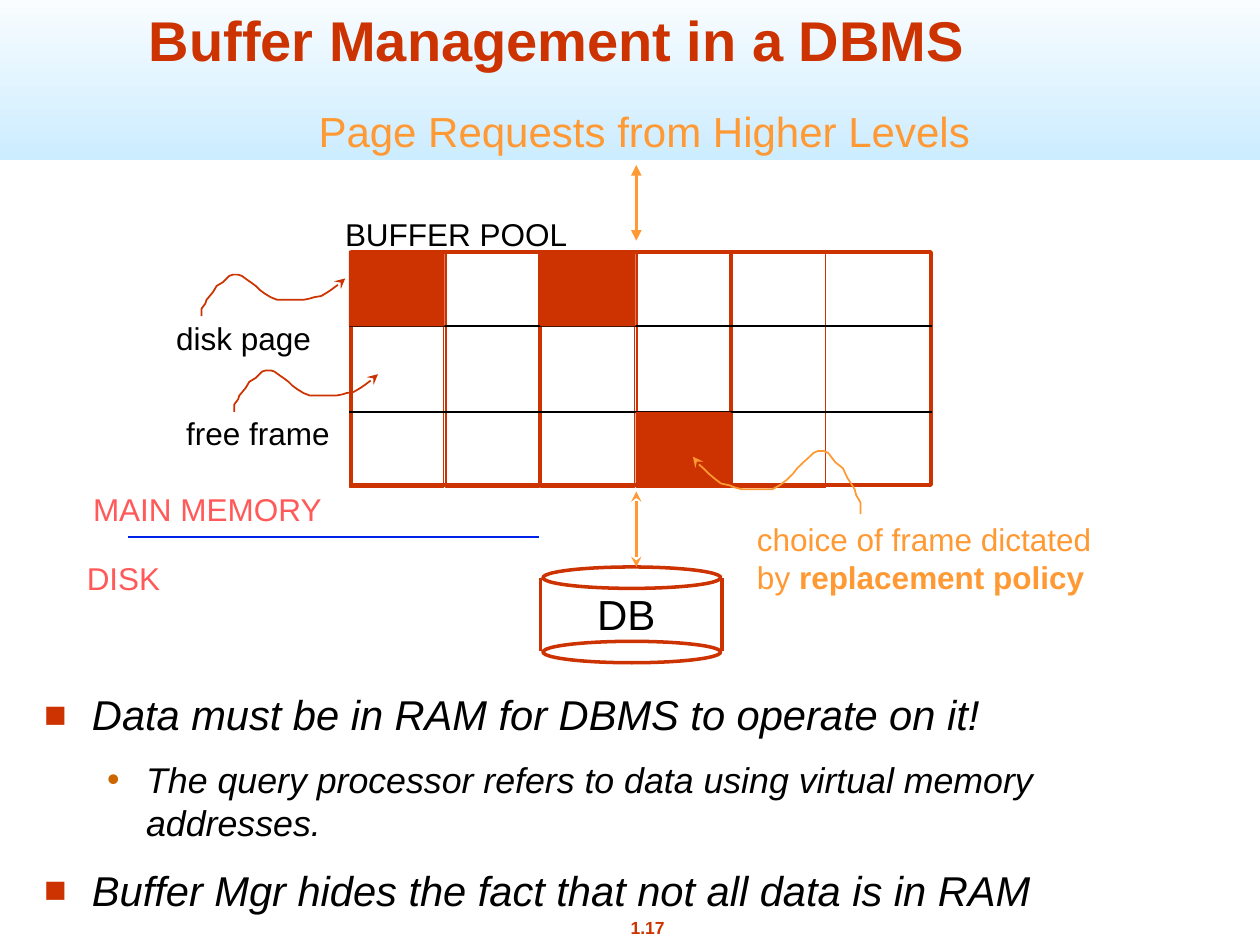
from dataclasses import dataclass

from lxml.etree import SubElement
from pptx import Presentation
from pptx.dml.color import RGBColor as RGB
from pptx.enum.shapes import MSO_CONNECTOR as LINK, MSO_SHAPE as SHAPE
from pptx.enum.text import MSO_ANCHOR as ANCHOR, MSO_AUTO_SIZE as AUTO, PP_ALIGN as ALIGN
from pptx.oxml.ns import qn
from pptx.util import Inches, Pt

COLS, ROWS = 100, 75  # the grid that all lengths refer to


@dataclass(frozen=True)
class Theme:
    font: str = "Arial"
    red: str = "CC3300"
    orange: str = "FF9933"
    brown: str = "CC6600"
    pink: str = "FF5959"
    blue: str = "0021E8"
    black: str = "000000"
    white: str = "FFFFFF"
    sky: str = "CCECFF"
    title: float = 32
    head: float = 24
    item: float = 23.8
    sub: float = 20.4
    label: float = 18
    foot: float = 10
    thin: float = 1
    thick: float = 2


# Points of one wavy pointer, in hundredths of an inch
WAVE = [(0, 33), (0, 27), (3, 23), (4, 20), (9, 14), (12, 9), (17, 6), (22, 1),
        (25, 0), (29, 0), (32, 1), (36, 4), (39, 6), (43, 9), (46, 12), (50, 15),
        (55, 18), (60, 20), (81, 20), (86, 19), (89, 18), (95, 17), (100, 14),
        (103, 12), (107, 9), (110, 7), (114, 3)]
WAVE_W, WAVE_H = 114, 33


class Page:
    def __init__(self, deck, theme):
        self.deck, self.t = deck, theme
        self.slide = deck.slides.add_slide(deck.slide_layouts[1])
        self.shapes = self.slide.shapes

    def x(self, col):
        return round(self.deck.slide_width * col / COLS)

    def y(self, row):
        return round(self.deck.slide_height * row / ROWS)

    def box(self, at):
        return self.x(at[0]), self.y(at[1]), self.x(at[2]), self.y(at[3])

    def font(self, para, size, color, bold=False, italic=False):
        for run in para.runs:
            font = run.font
            font.name, font.size = self.t.font, Pt(size)
            font.bold, font.italic = bold, italic
            font.color.rgb = RGB.from_string(color)

    def place(self, item, at):
        item.left, item.top, item.width, item.height = self.box(at)
        item.text_frame.auto_size = AUTO.NONE
        return item.text_frame

    def title(self, text, at):
        frame = self.place(self.shapes.title, at)
        frame.text, frame.vertical_anchor = text, ANCHOR.BOTTOM
        para = frame.paragraphs[0]
        para.alignment = ALIGN.CENTER
        self.font(para, self.t.title, self.t.red, bold=True)

    def list(self, items, at):
        t = self.t
        levels = [(t.item, 12.2, 0.38, -0.38, "■", t.red, 90),
                  (t.sub, 10.5, 0.81, -0.31, "•", t.brown, 100)]
        frame = self.place(self.slide.placeholders[1], at)
        frame.text = "\n".join(text for _, text in items)
        for para, (level, _) in zip(frame.paragraphs, items):
            size, gap, left, hang, mark, color, share = levels[level]
            para.level, para.space_before = level, Pt(gap)
            self.font(para, size, t.black, italic=True)
            props = para._p.get_or_add_pPr()
            props.set("marL", str(Inches(left)))
            props.set("indent", str(Inches(hang)))
            tint = SubElement(props, qn("a:buClr"))
            SubElement(tint, qn("a:srgbClr"), val=color)
            SubElement(props, qn("a:buSzPct"), val=str(share * 1000))
            SubElement(props, qn("a:buFont"), typeface=t.font)
            SubElement(props, qn("a:buChar"), char=mark)

    def text(self, text, at, color, size=None, bold=False, align=ALIGN.LEFT):
        frame = self.shapes.add_textbox(*self.box(at)).text_frame
        frame.word_wrap = False
        frame.text = text
        for para in frame.paragraphs:
            para.alignment = align
            self.font(para, size or self.t.label, color, bold)
        return frame

    def stroke(self, item, color, width, head=None, tail=None):
        item.line.color.rgb = RGB.from_string(color)
        item.line.width = Pt(width)
        for tag, kind in (("a:headEnd", head), ("a:tailEnd", tail)):
            if kind:
                SubElement(item.line._get_or_add_ln(), qn(tag), type=kind)

    def shape(self, kind, at, fill=None, line=None, width=1):
        item = self.shapes.add_shape(kind, *self.box(at))
        item.shadow.inherit = False
        if fill:
            item.fill.solid()
            item.fill.fore_color.rgb = RGB.from_string(fill)
        else:
            item.fill.background()
        if line:
            self.stroke(item, line, width)
        else:
            item.line.fill.background()
        return item

    def band(self, at, top, low):
        item = self.shape(SHAPE.RECTANGLE, at)
        item.fill.gradient()
        item.fill.gradient_angle = 270
        for stop, color in zip(item.fill.gradient_stops, (top, low)):
            stop.color.rgb = RGB.from_string(color)
        self.shapes._spTree.insert(2, item._element)  # behind the title

    def line(self, start, end, color, width, ends=None):
        item = self.shapes.add_connector(
            LINK.STRAIGHT, self.x(start[0]), self.y(start[1]), self.x(end[0]), self.y(end[1]))
        self.stroke(item, color, width, ends, ends)
        SubElement(item._element.spPr, qn("a:effectLst"))

    def wave(self, col, row, wide, high, color):
        """Pointer from column col; a negative width runs to the left."""
        pts = [(self.x(col + wide * a / WAVE_W), self.y(row + high * b / WAVE_H))
               for a, b in WAVE]
        pen = self.shapes.build_freeform(*pts[0])
        pen.add_line_segments(pts[1:], close=False)
        item = pen.convert_to_shape()
        item.shadow.inherit = False
        item.fill.background()
        self.stroke(item, color, self.t.thin, tail="stealth")


def main():
    deck = Presentation()
    deck.slide_width, deck.slide_height = Inches(10), Inches(7.5)
    t = Theme()
    page = Page(deck, t)

    # Header, list and page number
    page.band((0, -1.7, 100, 14.4), t.white, t.sky)
    page.title("Buffer Management in a DBMS", (1.7, -2.1, 85, 8.4))
    page.list([(0, "Data must be in RAM for DBMS to operate on it!"),
               (1, "The query processor refers to data using virtual memory addresses."),
               (0, "Buffer Mgr hides the fact that not all data is in RAM")],
              (2.5, 54.2, 95, 19.2))
    page.text("1.17", (46.5, 72.3, 9.8, 2.7), t.red, t.foot, True, ALIGN.CENTER)

    # Buffer pool: frame, columns, row lines and filled cells
    left, step = 27.8, 7.58
    tops = (19.9, 25.9, 32.7)
    page.shape(SHAPE.RECTANGLE, (27.9, 20, 46, 18.5), line=t.red, width=t.thick)
    for col in range(5):
        page.shape(SHAPE.RECTANGLE, (left + col * step, 20, 7.4, 18.7), line=t.red)
    for row in tops[1:]:
        page.line((27.7, row), (74, row), t.black, t.thin)
    for col, row in ((0, 0), (2, 0), (3, 2)):
        page.shape(SHAPE.RECTANGLE, (left - 0.1 + col * step, tops[row], 7.6, 6), t.red)

    # Database drum
    for row in (45, 50.9):
        page.shape(SHAPE.OVAL, (43.1, row, 14.1, 1.7), line=t.red, width=t.thick)
    for col in (42.9, 57.3):
        page.line((col, 45.9), (col, 51.7), t.red, t.thick)
    page.text("DB", (46.4, 46.2, 7, 5), t.black, t.head)

    # Border between memory and disk
    page.line((10.2, 42.6), (42.8, 42.6), t.blue, t.thin)
    page.text("MAIN MEMORY", (6.4, 38.4, 20.2, 4), t.pink)
    page.text("DISK", (5.9, 43.9, 7.9, 4), t.pink)

    # Labels and their pointers
    page.wave(16, 21.8, 11.4, 3.3, t.red)
    page.text("disk page", (13, 24.8, 12.7, 4), t.black)
    page.wave(18.6, 29.4, 11.4, 3.3, t.red)
    page.text("free frame", (13.8, 32.4, 13.4, 4), t.black)
    page.text("BUFFER POOL", (26.4, 16.6, 19.7, 4), t.black)
    page.wave(68.3, 35.8, -13.3, 5, t.orange)
    note = page.text("choice of frame dictated\nby ", (59.1, 40.8, 28.6, 7), t.orange)
    last = note.paragraphs[1]
    last.add_run().text = "replacement policy"
    page.font(last, t.label, t.orange)
    last.runs[1].font.bold = True

    # Requests from above, transfers below
    page.text("Page Requests from Higher Levels", (24.3, 7.9, 53.7, 5), t.orange, t.head)
    for top, ends in ((13.1, "triangle"), (39, "stealth")):
        page.line((50.5, top), (50.5, top + 6), t.orange, t.thick, ends)

    deck.save("out.pptx")


if __name__ == "__main__":
    main()
